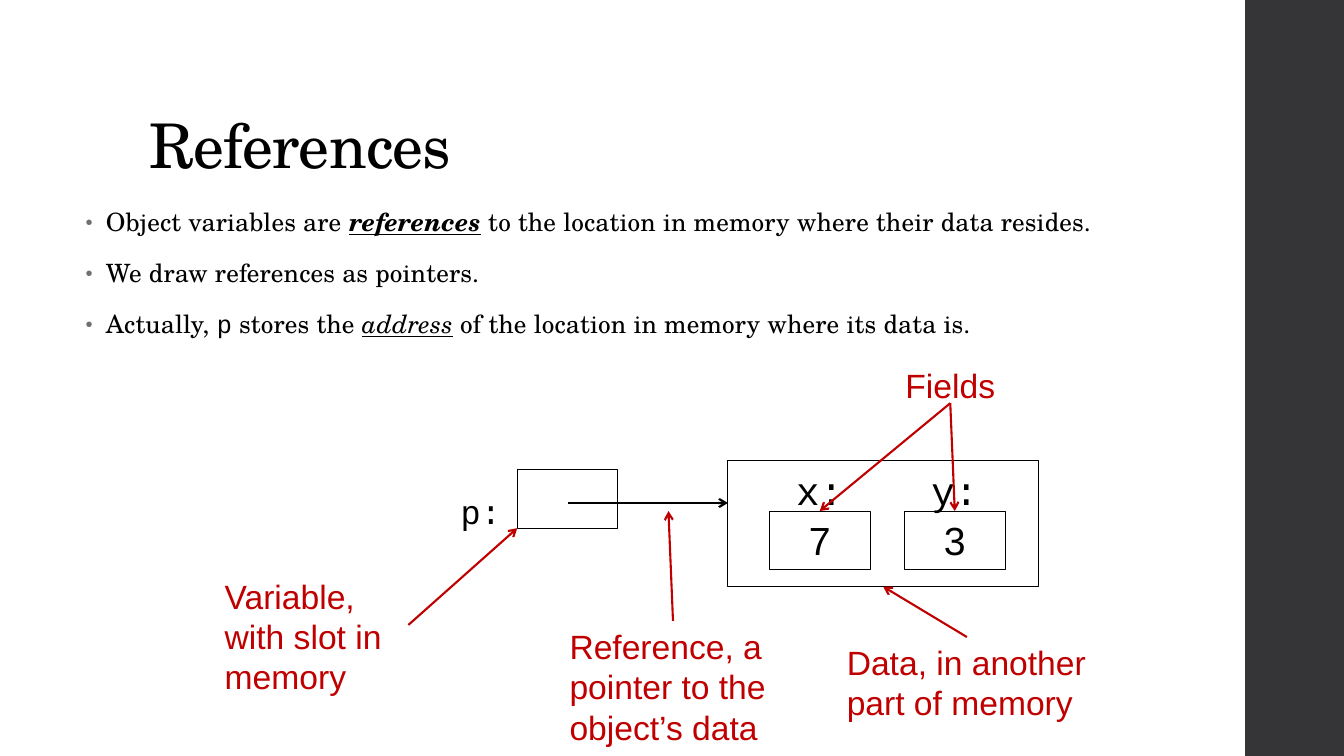
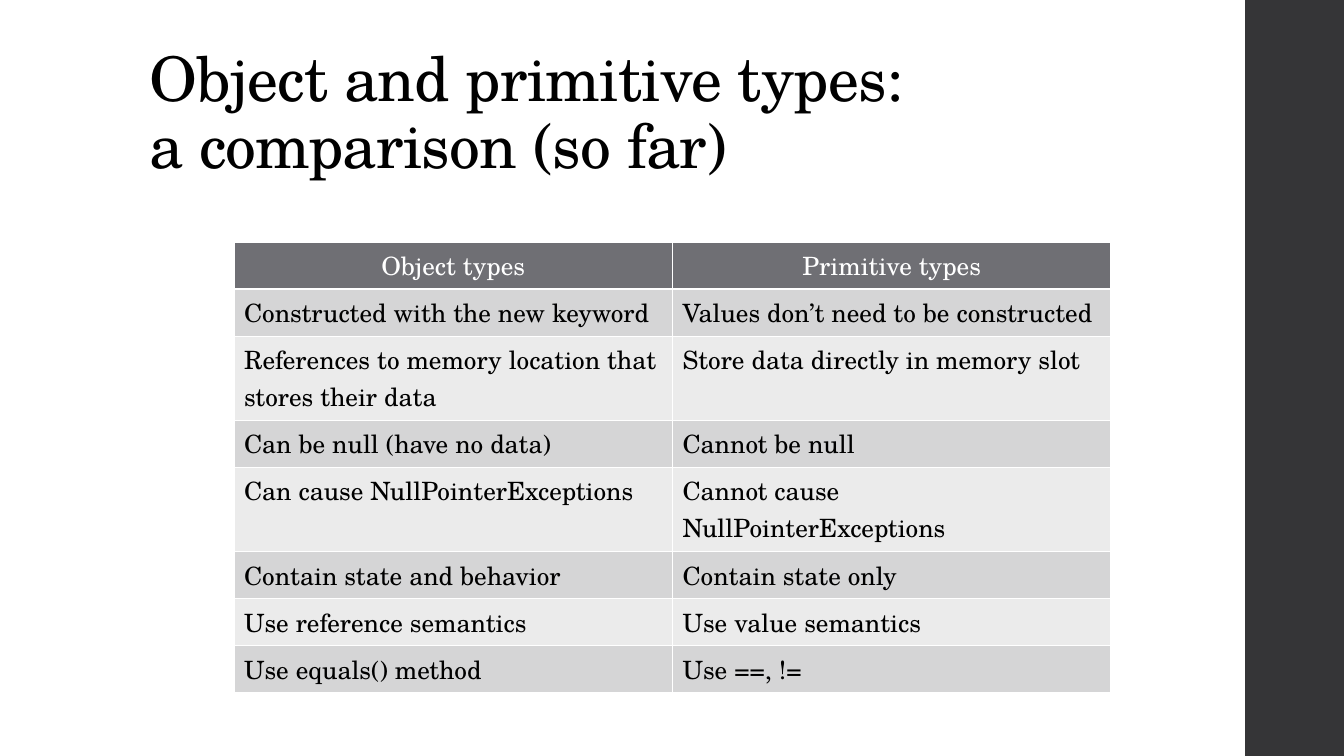
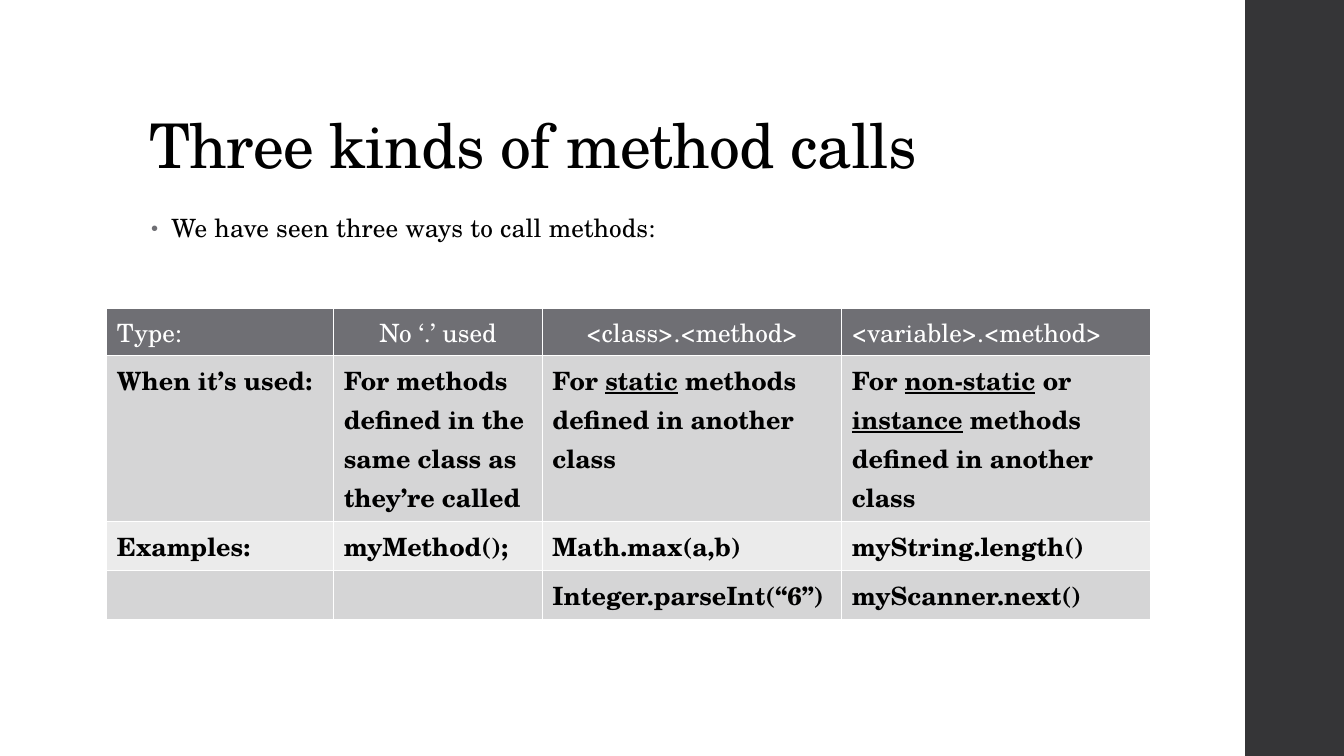
from dataclasses import dataclass

from lxml import etree
from pptx import Presentation
from pptx.dml.color import RGBColor
from pptx.enum.shapes import MSO_CONNECTOR, MSO_SHAPE
from pptx.enum.text import MSO_ANCHOR, MSO_AUTO_SIZE, PP_ALIGN
from pptx.oxml.ns import qn
from pptx.util import Inches, Pt

RECTANGLE = MSO_SHAPE.RECTANGLE
STRAIGHT = MSO_CONNECTOR.STRAIGHT
LEFT, CENTER = PP_ALIGN.LEFT, PP_ALIGN.CENTER
TOP, MIDDLE, BOTTOM = MSO_ANCHOR.TOP, MSO_ANCHOR.MIDDLE, MSO_ANCHOR.BOTTOM
NO_FIT, SHRINK = MSO_AUTO_SIZE.NONE, MSO_AUTO_SIZE.TEXT_TO_FIT_SHAPE
TOP_SIDE, BOTTOM_SIDE, RIGHT_SIDE = 0, 2, 3
TITLE_ONLY, TITLE_AND_CONTENT = 5, 1


@dataclass(frozen=True)
class Theme:
    ink: str = "000000"
    paper: str = "FFFFFF"
    band: str = "353537"
    gray: str = "6F6F74"
    dark_row: str = "D5D5D6"
    light_row: str = "EBEBEB"
    accent: str = "C00000"
    serif: str = "TeX Gyre Schola"
    sans: str = "Arial"
    mono: str = "Courier New"
    title_size: int = 44
    text_size: int = 18
    note_size: int = 24
    value_size: int = 28


THEME = Theme()

COMPARISON = [
    ["Object types", "Primitive types"],
    ["Constructed with the new keyword", "Values don’t need to be constructed"],
    ["References to memory location that stores their data",
     "Store data directly in memory slot"],
    ["Can be null (have no data)", "Cannot be null"],
    ["Can cause NullPointerExceptions", "Cannot cause NullPointerExceptions"],
    ["Contain state and behavior", "Contain state only"],
    ["Use reference semantics", "Use value semantics"],
    ["Use equals() method", "Use ==, !="],
]

UNDERLINED = {"underline": True}
METHOD_CALLS = [
    ["Type:", "No ‘.’ used", "<class>.<method>", "<variable>.<method>"],
    ["When it’s used:",
     "For methods defined in the same class as they’re called",
     ["For ", ("static", UNDERLINED), " methods defined in another class"],
     ["For ", ("non-static", UNDERLINED), " or ", ("instance", UNDERLINED),
      " methods defined in another class"]],
    ["Examples:", "myMethod();", "Math.max(a,b)", "myString.length()"],
    ["", "", "Integer.parseInt(“6”)", "myScanner.next()"],
]


def rgb(color):
    return RGBColor.from_string(color)


def inches(*lengths):
    return [Inches(length) for length in lengths]


def add_xml(parent, tag, **attributes):
    return etree.SubElement(parent, qn(tag), attributes)


def write(para, text, align=LEFT, line=None, before=None, after=None, **look):
    para.alignment = align
    if line:
        para.line_spacing = line
    if before is not None:
        para.space_before = Pt(before)
        para.space_after = Pt(after)
    for piece in [text] if isinstance(text, str) else text:
        words, extra = (piece, {}) if isinstance(piece, str) else piece
        for index, part in enumerate(words.split("\n")):
            if index:
                para.add_line_break()
            if part:
                add_span(para, part, **{**look, **extra})


def add_span(para, text, size=THEME.text_size, font=THEME.serif, color=THEME.ink,
             bold=False, italic=False, underline=False, spacing=None):
    span = para.add_run()
    span.text = text
    span.font.size = Pt(size)
    span.font.name = font
    span.font.color.rgb = rgb(color)
    span.font.bold = bold
    span.font.italic = italic
    span.font.underline = underline
    if spacing:
        span._r.get_or_add_rPr().set("spc", str(spacing))


def add_bullet(para):
    properties = para._p.get_or_add_pPr()
    properties.set("marL", str(Inches(0.2)))
    properties.set("indent", str(-Inches(0.2)))
    add_xml(add_xml(properties, "a:buClr"), "a:srgbClr", val=THEME.gray)
    add_xml(properties, "a:buSzPct", val="80000")
    add_xml(properties, "a:buFont", typeface=THEME.sans)
    add_xml(properties, "a:buChar", char="•")


def place(shape, left, top, width, height):
    shape.left, shape.top, shape.width, shape.height = inches(left, top, width, height)


def add_page(deck, title, layout):
    page = deck.slides.add_slide(deck.slide_layouts[layout])
    place(page.shapes.title, 1.38, 0.4, 10.6, 1.45)
    frame = page.shapes.title.text_frame
    frame.vertical_anchor = BOTTOM
    frame.auto_size = SHRINK
    write(frame.paragraphs[0], title, size=THEME.title_size, line=0.9, spacing=-50)
    return page


def add_list(page, items, *place_at):
    body = page.placeholders[1]
    place(body, *place_at)
    frame = body.text_frame
    frame.auto_size = SHRINK
    for index, item in enumerate(items):
        para = frame.add_paragraph() if index else frame.paragraphs[0]
        write(para, item, line=0.95, before=14, after=2, spacing=10)
        add_bullet(para)


def add_box(page, left, top, width, height, fill=None, line=THEME.ink):
    box = page.shapes.add_shape(RECTANGLE, *inches(left, top, width, height))
    box.shadow.inherit = False
    if fill:
        box.fill.solid()
        box.fill.fore_color.rgb = rgb(fill)
    else:
        box.fill.background()
    if line:
        box.line.color.rgb = rgb(line)
        box.line.width = Pt(0.75)
    else:
        box.line.fill.background()
    return box


def add_label(page, text, left, top, width, height, anchor=TOP, **look):
    label = page.shapes.add_textbox(*inches(left, top, width, height))
    frame = label.text_frame
    frame.word_wrap = True
    frame.auto_size = NO_FIT
    frame.vertical_anchor = anchor
    write(frame.paragraphs[0], text, **look)
    return label


def add_note(page, text, *place_at, align=LEFT):
    return add_label(page, text, *place_at, align=align, size=THEME.note_size,
                     font=THEME.sans, color=THEME.accent)


def add_arrow(page, start, end, color=THEME.accent):
    arrow = page.shapes.add_connector(STRAIGHT, 0, 0, 0, 0)
    for target, join, names in ((start, arrow.begin_connect, ("begin_x", "begin_y")),
                                (end, arrow.end_connect, ("end_x", "end_y"))):
        if isinstance(target[0], float):
            for name, length in zip(names, target):
                setattr(arrow, name, Inches(length))
        else:
            join(*target)
    arrow.line.color.rgb = rgb(color)
    arrow.line.width = Pt(1.5)
    add_xml(arrow.line._get_or_add_ln(), "a:tailEnd", type="arrow")
    add_xml(arrow._element.spPr, "a:effectLst")


def style_cell(cell, fill):
    properties = cell._tc.get_or_add_tcPr()
    for side in ("a:lnL", "a:lnR", "a:lnT", "a:lnB"):
        border = add_xml(properties, side, w=str(Pt(1)))
        add_xml(add_xml(border, "a:solidFill"), "a:srgbClr", val=THEME.paper)
    cell.fill.solid()
    cell.fill.fore_color.rgb = rgb(fill)


def add_grid(page, rows, left, top, widths, heights, header_aligns, bold=False):
    table = page.shapes.add_table(
        len(rows), len(widths), *inches(left, top, sum(widths), sum(heights))).table
    table.horz_banding = False
    for column, width in zip(table.columns, widths):
        column.width = Inches(width)
    for index, (row, height) in enumerate(zip(table.rows, heights)):
        row.height = Inches(height)
        header = index == 0
        stripe = THEME.dark_row if index % 2 else THEME.light_row
        for cell, text, align in zip(row.cells, rows[index], header_aligns):
            style_cell(cell, THEME.gray if header else stripe)
            write(cell.text_frame.paragraphs[0], text,
                  align=align if header else LEFT,
                  color=THEME.paper if header else THEME.ink,
                  bold=bold and not header)


def add_field(page, name, value, left):
    slot = add_box(page, left, 5.07, 1, 0.58)
    slot.text_frame.vertical_anchor = MIDDLE
    write(slot.text_frame.paragraphs[0], value, align=CENTER,
          size=THEME.value_size, font=THEME.sans)
    add_label(page, name, left, 4.57, 1, 0.58, anchor=MIDDLE, align=CENTER,
              size=THEME.value_size, font=THEME.mono)
    return slot


def draw_memory(page):
    add_box(page, 5.13, 4.66, 1, 0.58)
    add_label(page, "p:", 4.47, 4.82, 0.83, 0.43, size=THEME.note_size, font=THEME.mono)
    data = add_box(page, 7.22, 4.57, 3.08, 1.25)
    slots = [add_field(page, "x:", "7", 7.63), add_field(page, "y:", "3", 8.97)]
    add_arrow(page, (5.63, 4.99), (7.22, 4.99), color=THEME.ink)

    variable = add_note(page, "Variable, with slot in memory", 2.13, 5.66, 1.92, 1.08)
    add_arrow(page, (variable, RIGHT_SIDE), (5.13, 5.24))
    reference = add_note(page, "Reference, a pointer to the object’s data",
                         5.55, 6.16, 2.25, 1.08)
    add_arrow(page, (reference, TOP_SIDE), (6.63, 5.07))
    location = add_note(page, "Data, in another part of memory", 8.3, 6.32, 2.58, 0.76)
    add_arrow(page, (location, TOP_SIDE), (data, BOTTOM_SIDE))
    fields = add_note(page, "Fields", 8.8, 3.57, 1.25, 0.43, align=CENTER)
    for slot in slots:
        add_arrow(page, (fields, BOTTOM_SIDE), (slot, TOP_SIDE))


def add_references(deck):
    page = add_page(deck, "References", TITLE_AND_CONTENT)
    band = add_box(page, 12.35, 0, 0.98, 7.5, fill=THEME.band, line=None)
    deck.slide_master.shapes.element.append(band.element)
    add_list(page, [
        ["Object variables are ",
         ("references", {"bold": True, "italic": True, "underline": True}),
         " to the location in memory where their data resides."],
        "We draw references as pointers.",
        ["Actually, ", ("p", {"font": THEME.mono}), " stores the ",
         ("address", {"italic": True, "underline": True}),
         " of the location in memory where its data is."],
    ], 0.75, 2.02, 11.83, 4.4)
    draw_memory(page)


def add_comparison(deck):
    page = add_page(deck, "Object and primitive types:\na comparison (so far)", TITLE_ONLY)
    heights = [0.41, 0.41, 0.7] + [0.41] * 5
    add_grid(page, COMPARISON, 2.32, 2.4, [4.35, 4.35], heights, [CENTER, CENTER])


def add_method_calls(deck):
    page = add_page(deck, "Three kinds of method calls", TITLE_AND_CONTENT)
    add_list(page, ["We have seen three ways to call methods:"], 1.4, 2.08, 8.99, 0.75)
    add_grid(page, METHOD_CALLS, 1.06, 3.06, [2.25, 2.07, 2.97, 3.06],
             [0.41, 1.3, 0.41, 0.41], [LEFT, CENTER, CENTER, LEFT], bold=True)


def main():
    deck = Presentation()
    deck.slide_width, deck.slide_height = inches(13.33, 7.5)
    add_references(deck)
    add_comparison(deck)
    add_method_calls(deck)
    deck.save("out.pptx")


if __name__ == "__main__":
    main()
